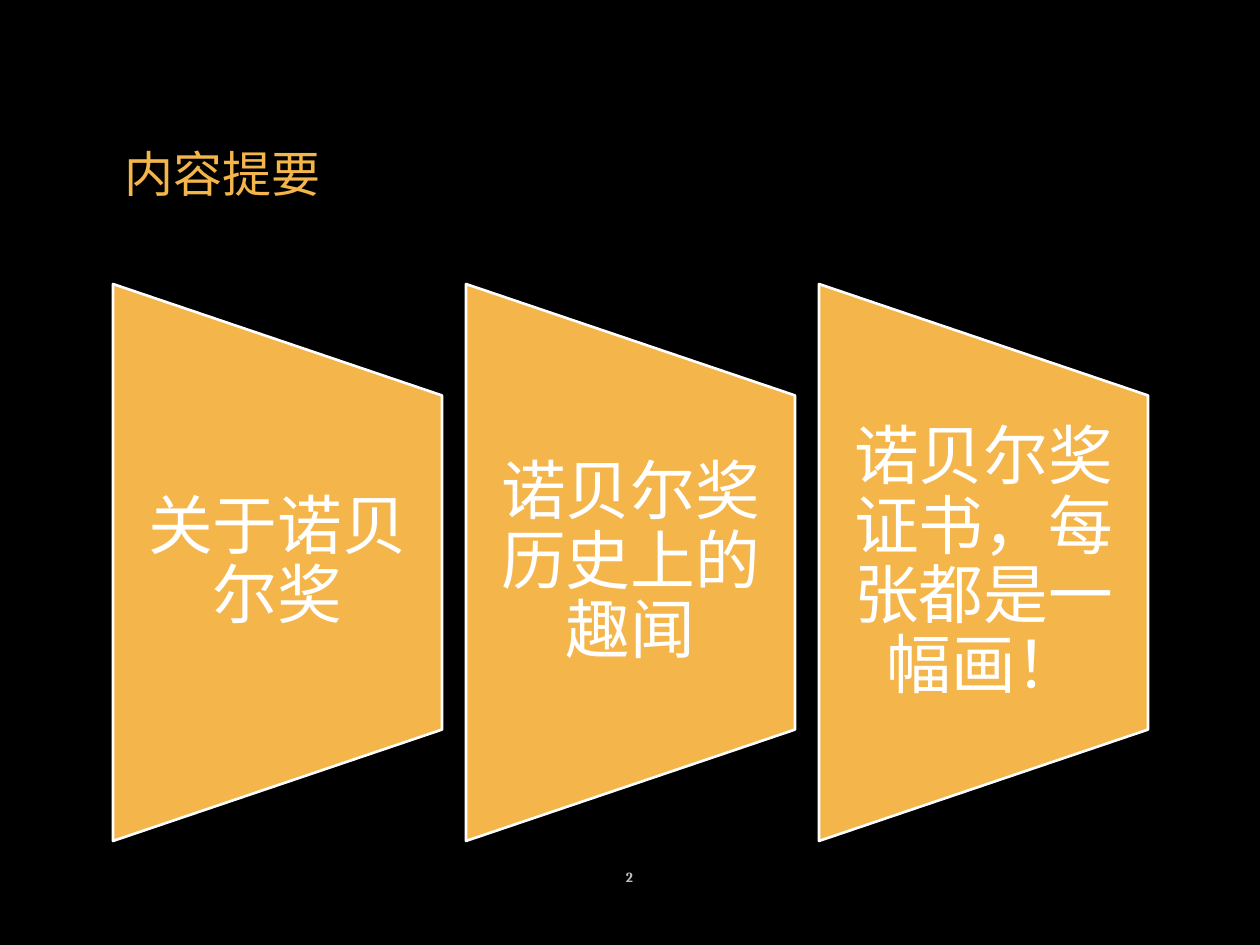
from dataclasses import dataclass
from pptx import Presentation
from pptx import util as u
from pptx.dml.color import RGBColor as Rgb
from pptx.enum import shapes, text


@dataclass
class Theme:
    font: str = "Cambria"
    back: Rgb = Rgb(0, 0, 0)
    gold: Rgb = Rgb(0xF4, 0xB5, 0x4B)
    white: Rgb = Rgb(255, 255, 255)
    gray: Rgb = Rgb(0xBF, 0xBF, 0xBF)
    head: int = 28
    body: int = 37
    foot: int = 8


theme = Theme()


def px(n):
    return u.Emu(round(n * 914400 / 126))


def write(box, words, size, color, align, bold=False):
    frame = box.text_frame
    frame.text = words
    frame.word_wrap = True
    frame.auto_size = text.MSO_AUTO_SIZE.NONE
    frame.vertical_anchor = text.MSO_ANCHOR.MIDDLE
    para = frame.paragraphs[0]
    para.alignment = align
    font = para.runs[0].font
    font.name, font.size, font.bold = theme.font, u.Pt(size), bold
    font.color.rgb = color
    return frame


deck = Presentation()
deck.slide_width, deck.slide_height = px(1260), px(945)
slide = deck.slides.add_slide(deck.slide_layouts[5])
slide.background.fill.solid()
slide.background.fill.fore_color.rgb = theme.back

title = slide.shapes.title
title.left, title.top, title.width, title.height = px(112), px(82), px(1035), px(181)
write(title, "内容提要", theme.head, theme.gold, text.PP_ALIGN.LEFT)

topics = ["关于诺贝尔奖", "诺贝尔奖历史上的趣闻", "诺贝尔奖证书，每张都是一幅画！"]
left, top, wide, tall, gap = 113, 284, 329, 557, 24
inset = (tall - wide) // 2
for i, topic in enumerate(topics):
    x = left + i * (wide + gap)
    panel = slide.shapes.add_shape(
        shapes.MSO_SHAPE.FLOWCHART_MANUAL_OPERATION,
        px(x - inset), px(top + inset), px(tall), px(wide))
    panel.rotation = 270
    panel.shadow.inherit = False
    panel.fill.solid()
    panel.fill.fore_color.rgb = theme.gold
    panel.line.color.rgb = theme.white
    panel.line.width = u.Pt(1.5)

    label = slide.shapes.add_textbox(px(x), px(396), px(wide), px(334))
    frame = write(label, topic, theme.body, theme.white, text.PP_ALIGN.CENTER)
    frame.margin_left = frame.margin_right = px(33)
    frame.margin_top = frame.margin_bottom = 0
    frame.paragraphs[0].line_spacing = 0.9

page = slide.shapes.add_textbox(px(601), px(852), px(57), px(50))
write(page, "2", theme.foot, theme.gray, text.PP_ALIGN.CENTER, True)

deck.save("out.pptx")
